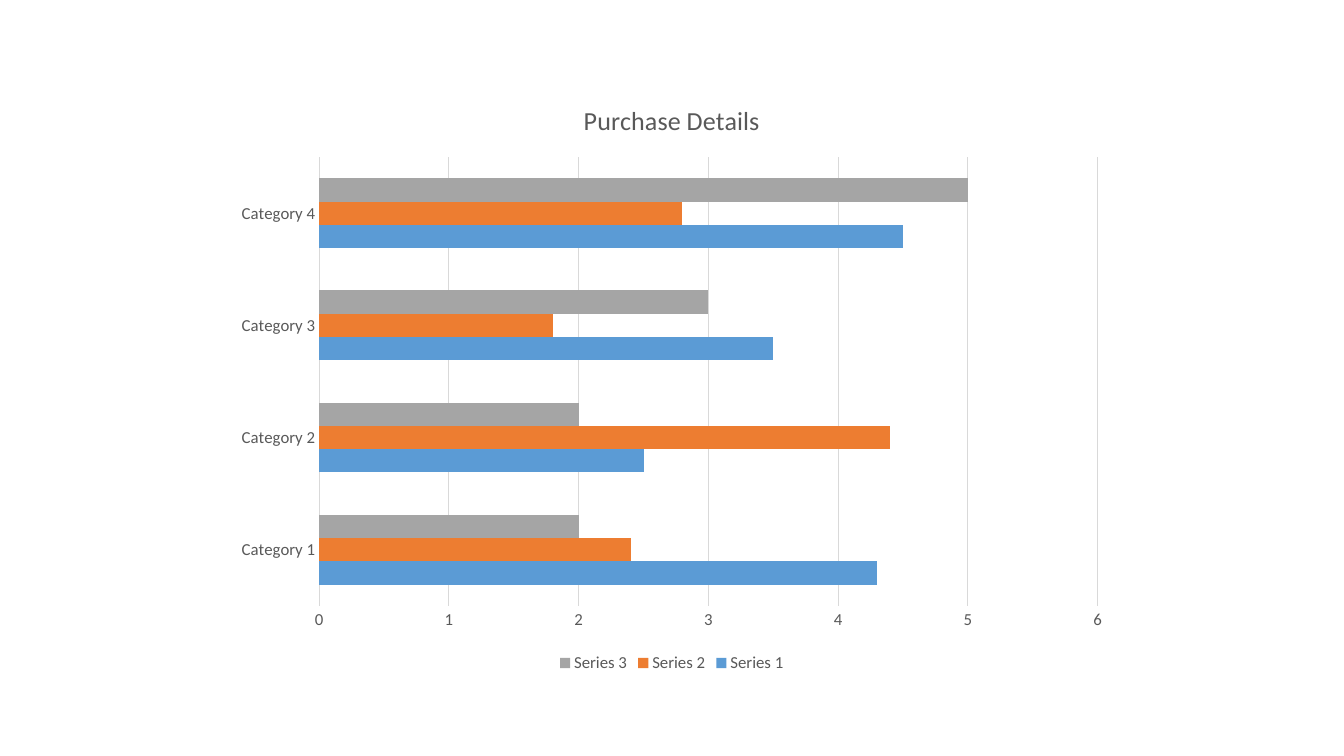
import dataclasses

import pptx
import pptx.chart.chart
import pptx.chart.data
import pptx.dml.color
import pptx.enum.chart
import pptx.slide
import pptx.text.text
import pptx.util
from pptx.util import Cm


@dataclasses.dataclass(frozen=True)
class Theme:
    font: str = "Calibri"
    text: str = "595959"
    rule: str = "D9D9D9"
    title_size: float = 18.6
    label_size: float = 12
    rule_width: float = 0.75


@dataclasses.dataclass(frozen=True)
class Series:
    name: str
    values: tuple[float, ...]
    color: str


THEME = Theme()
CATEGORIES = [f"Category {number}" for number in range(1, 5)]
PURCHASES = (
    Series("Series 1", (4.3, 2.5, 3.5, 4.5), "5B9BD5"),
    Series("Series 2", (2.4, 4.4, 1.8, 2.8), "ED7D31"),
    Series("Series 3", (2, 2, 3, 5), "A5A5A5"),
)


def rgb(color: str) -> pptx.dml.color.RGBColor:
    return pptx.dml.color.RGBColor.from_string(color)


def style_font(font: pptx.text.text.Font, size: float) -> None:
    font.name = THEME.font
    font.size = pptx.util.Pt(size)
    font.bold = False
    font.color.rgb = rgb(THEME.text)


def style_rule(line: pptx.dml.line.LineFormat) -> None:
    line.color.rgb = rgb(THEME.rule)
    line.width = pptx.util.Pt(THEME.rule_width)


def add_purchase_chart(slide: pptx.slide.Slide) -> pptx.chart.chart.Chart:
    data = pptx.chart.data.CategoryChartData()
    data.categories = CATEGORIES
    for series in PURCHASES:
        data.add_series(series.name, series.values)
    return slide.shapes.add_chart(
        pptx.enum.chart.XL_CHART_TYPE.BAR_CLUSTERED,
        Cm(5.64), Cm(2.01), Cm(22.58), Cm(15.05), data,
    ).chart


def style_chart(chart: pptx.chart.chart.Chart) -> None:
    style_font(chart.font, THEME.label_size)
    chart.has_title = True
    title = chart.chart_title.text_frame
    title.text = "Purchase Details"
    style_font(title.paragraphs[0].font, THEME.title_size)

    chart.has_legend = True
    chart.legend.position = pptx.enum.chart.XL_LEGEND_POSITION.BOTTOM
    chart.legend.include_in_layout = False
    style_font(chart.legend.font, THEME.label_size)

    for axis in (chart.category_axis, chart.value_axis):
        axis.major_tick_mark = pptx.enum.chart.XL_TICK_MARK.NONE
        axis.minor_tick_mark = pptx.enum.chart.XL_TICK_MARK.NONE
        style_font(axis.tick_labels.font, THEME.label_size)
    style_rule(chart.category_axis.format.line)
    chart.value_axis.format.line.fill.background()
    chart.value_axis.has_major_gridlines = True
    style_rule(chart.value_axis.major_gridlines.format.line)

    plot = chart.plots[0]
    plot.gap_width = 182
    plot.vary_by_categories = False
    for bars, series in zip(plot.series, PURCHASES):
        bars.format.fill.solid()
        bars.format.fill.fore_color.rgb = rgb(series.color)
        bars.invert_if_negative = False


def main() -> None:
    deck = pptx.Presentation()
    deck.slide_width = Cm(33.87)
    deck.slide_height = Cm(19.05)
    slide = deck.slides.add_slide(deck.slide_layouts.get_by_name("Blank"))
    style_chart(add_purchase_chart(slide))
    deck.save("out.pptx")


if __name__ == "__main__":
    main()
